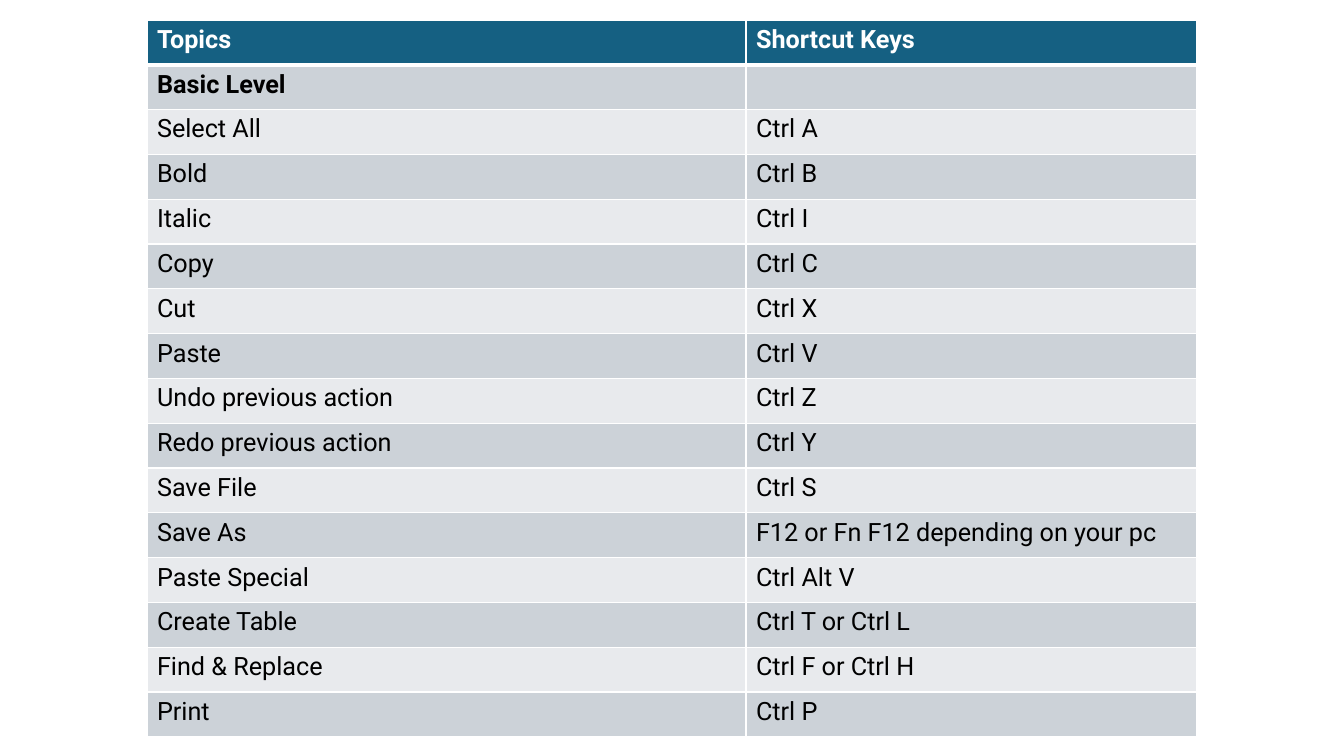
from lxml import etree
from pptx import Presentation
from pptx.dml.color import RGBColor
from pptx.oxml.ns import qn
from pptx.util import Emu, Pt

HEADER = ("Topics", "Shortcut Keys")
LEVEL = ("Basic Level", "")
SHORTCUTS = [
    ("Select All", "Ctrl A"),
    ("Bold", "Ctrl B"),
    ("Italic", "Ctrl I"),
    ("Copy", "Ctrl C"),
    ("Cut", "Ctrl X"),
    ("Paste", "Ctrl V"),
    ("Undo previous action", "Ctrl Z"),
    ("Redo previous action", "Ctrl Y"),
    ("Save File", "Ctrl S"),
    ("Save As", "F12 or Fn F12 depending on your pc"),
    ("Paste Special", "Ctrl Alt V"),
    ("Create Table", "Ctrl T or Ctrl L"),
    ("Find & Replace", "Ctrl F or Ctrl H"),
    ("Print", "Ctrl P"),
]
ROWS = [HEADER, LEVEL, *SHORTCUTS]

COLOURS = {
    "header": "156082",
    "dark band": "CCD2D8",
    "light band": "E8EAED",
    "border": "FFFFFF",
    "header text": "FFFFFF",
    "text": "000000",
}
FONT, TEXT_SIZE = "Roboto", 18
BLANK = 6

PX = 914400 / 100.8
PAGE_WIDTH, PAGE_HEIGHT = 1344, 756
TABLE_LEFT, TABLE_TOP, TABLE_HEIGHT = 147, 20, 717
COLUMN_WIDTHS = (599, 451)


def px(length):
    return Emu(round(length * PX))


def colour(name):
    return RGBColor.from_string(COLOURS[name])


def set_borders(cell, widths):
    """Draw the cell's edges; widths maps an edge tag to points."""
    properties = cell._tc.get_or_add_tcPr()
    for edge, width in widths.items():
        line = etree.SubElement(properties, qn(f"a:{edge}"), w=str(Pt(width)))
        fill = etree.SubElement(line, qn("a:solidFill"))
        etree.SubElement(fill, qn("a:srgbClr"), val=COLOURS["border"])


def fill_cell(cell, text, row):
    top = 3 if row == 1 else 1
    bottom = 3 if row == 0 else 1
    set_borders(cell, {"lnL": 1, "lnR": 1, "lnT": top, "lnB": bottom})
    band = "header" if row == 0 else "dark band" if row % 2 else "light band"
    cell.fill.solid()
    cell.fill.fore_color.rgb = colour(band)
    if text:
        span = cell.text_frame.paragraphs[0].add_run()
        span.text = text
        span.font.name = FONT
        span.font.size = Pt(TEXT_SIZE)
        span.font.bold = row < 2
        span.font.color.rgb = colour("text" if row else "header text")


def main():
    deck = Presentation()
    deck.slide_width, deck.slide_height = px(PAGE_WIDTH), px(PAGE_HEIGHT)
    page = deck.slides.add_slide(deck.slide_layouts[BLANK])
    table = page.shapes.add_table(
        len(ROWS), len(COLUMN_WIDTHS), px(TABLE_LEFT), px(TABLE_TOP),
        px(sum(COLUMN_WIDTHS)), px(TABLE_HEIGHT)).table
    for column, width in zip(table.columns, COLUMN_WIDTHS):
        column.width = px(width)
    for row, texts in enumerate(ROWS):
        table.rows[row].height = px(TABLE_HEIGHT / len(ROWS))
        for column, text in enumerate(texts):
            fill_cell(table.cell(row, column), text, row)
    deck.save("out.pptx")


if __name__ == "__main__":
    main()
